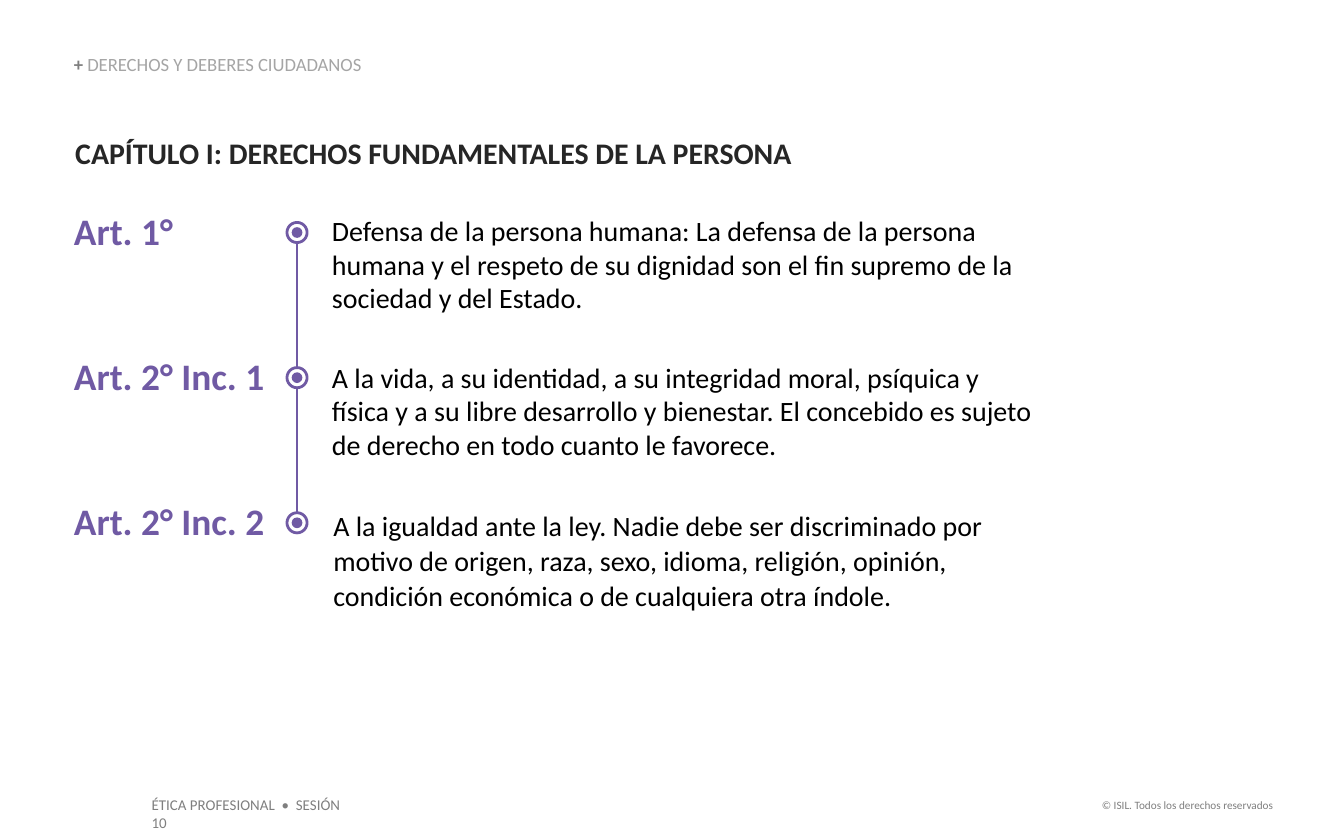
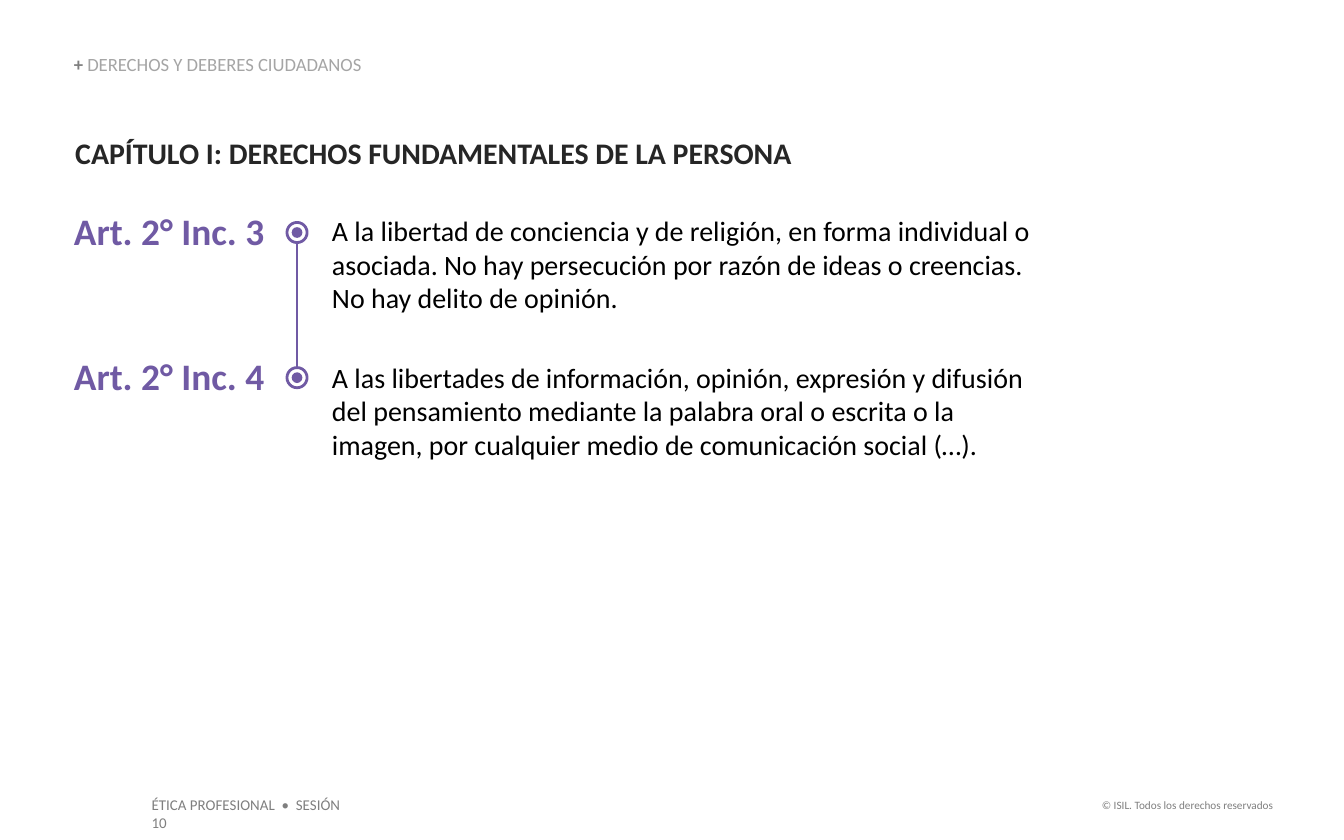
from dataclasses import dataclass

from lxml import etree
from pptx import Presentation
from pptx import util as u
from pptx.dml.color import RGBColor
from pptx.enum import shapes, text
from pptx.oxml import ns


@dataclass(frozen=True)
class Theme:
    font: str = "Calibri"
    accent: str = "705AA4"
    heading: str = "262626"
    body: str = "000000"
    muted: str = "7F7F7F"
    faint: str = "A5A5A5"
    paper: str = "FFFFFF"
    heading_size: float = 16
    label_size: float = 20
    body_size: float = 15
    section_size: float = 10
    footer_size: float = 8
    copyright_size: float = 6


@dataclass(frozen=True)
class Box:
    left: float
    top: float
    width: float
    height: float


@dataclass(frozen=True)
class Style:
    size: float
    color: str
    bold: bool = False


@dataclass(frozen=True)
class Article:
    label: str
    description: str
    width: float
    left: float = 2.47
    line_spacing: float = 1.0


THEME = Theme()
MUTED_BOLD = Style(THEME.section_size, THEME.muted, True)
FAINT = Style(THEME.section_size, THEME.faint)
HEADING = Style(THEME.heading_size, THEME.heading, True)
LABEL = Style(THEME.label_size, THEME.accent, True)
BODY = Style(THEME.body_size, THEME.body)
FOOTER = Style(THEME.footer_size, THEME.muted)
COPYRIGHT = Style(THEME.copyright_size, THEME.muted)

MARGIN = 0.55
LABEL_TOP, LABEL_STEP = 1.55, 1.08
DESCRIPTION_TOP, DESCRIPTION_STEP = 1.59, 1.09
AXIS_X, AXIS_TOP = 2.21, 1.73
RING, DOT = 0.15, 0.08

CHAPTER = "CAPÍTULO I: DERECHOS FUNDAMENTALES DE LA PERSONA"
SECTION = "DERECHOS Y DEBERES CIUDADANOS"
COURSE = "ÉTICA PROFESIONAL  •  SESIÓN 10"
RIGHTS = "© ISIL. Todos los derechos reservados"

SLIDES = [
    [
        Article(
            "Art. 1°",
            "Defensa de la persona humana: La defensa de la persona humana y el "
            "respeto de su dignidad son el fin supremo de la sociedad y del Estado.",
            5.44,
        ),
        Article(
            "Art. 2° Inc. 1",
            "A la vida, a su identidad, a su integridad moral, psíquica y física y a "
            "su libre desarrollo y bienestar. El concebido es sujeto de derecho en "
            "todo cuanto le favorece.",
            5.21,
        ),
        Article(
            "Art. 2° Inc. 2",
            "A la igualdad ante la ley. Nadie debe ser discriminado por motivo de "
            "origen, raza, sexo, idioma, religión, opinión, condición económica o de "
            "cualquiera otra índole.",
            5.19,
            left=2.48,
            line_spacing=1.05,
        ),
    ],
    [
        Article(
            "Art. 2° Inc. 3",
            "A la libertad de conciencia y de religión, en forma individual o "
            "asociada. No hay persecución por razón de ideas o creencias. No hay "
            "delito de opinión.",
            5.39,
        ),
        Article(
            "Art. 2° Inc. 4",
            "A las libertades de información, opinión, expresión y difusión del "
            "pensamiento mediante la palabra oral o escrita o la imagen, por "
            "cualquier medio de comunicación social (…).",
            5.21,
        ),
    ],
]


def place(shape, box: Box) -> None:
    shape.left, shape.top = u.Inches(box.left), u.Inches(box.top)
    shape.width, shape.height = u.Inches(box.width), u.Inches(box.height)


def format_run(run, style: Style) -> None:
    run.font.name = THEME.font
    run.font.size = u.Pt(style.size)
    run.font.bold = style.bold
    run.font.color.rgb = RGBColor.from_string(style.color)


def write(shape, content: str, style: Style, inset: bool = False):
    """Fill a text shape with one paragraph and return that paragraph."""
    frame = shape.text_frame
    frame.text = content
    frame.word_wrap = True
    frame.auto_size = text.MSO_AUTO_SIZE.SHAPE_TO_FIT_TEXT
    frame.vertical_anchor = text.MSO_ANCHOR.TOP
    frame.margin_left = frame.margin_right = u.Inches(0.1 if inset else 0)
    frame.margin_top = frame.margin_bottom = u.Inches(0.05 if inset else 0)
    paragraph = frame.paragraphs[0]
    paragraph.alignment = text.PP_ALIGN.LEFT
    format_run(paragraph.runs[0], style)
    return paragraph


def add_text(slide, box: Box, content: str, style: Style, inset: bool = False):
    label = slide.shapes.add_textbox(0, 0, 0, 0)
    place(label, box)
    return write(label, content, style, inset)


def add_frame(slide) -> None:
    """Add the footer, chapter title and section line shared by all slides."""
    add_text(slide, Box(1.03, 5.87, 1.74, 0.24), COURSE, FOOTER, inset=True)
    rights = add_text(slide, Box(8.07, 5.89, 1.5, 0.2), RIGHTS, COPYRIGHT, inset=True)
    rights.alignment = text.PP_ALIGN.RIGHT

    title = slide.shapes.title
    place(title, Box(MARGIN, 1, 5.99, 0.27))
    chapter = write(title, CHAPTER, HEADING)
    chapter._p.get_or_add_pPr().set("marL", str(u.Inches(0.01)))

    section = add_text(slide, Box(MARGIN, 0.41, 5.06, 0.15), "+ ", MUTED_BOLD)
    section.line_spacing = 0.9
    section_name = section.add_run()
    section_name.text = SECTION
    format_run(section_name, FAINT)


def add_axis(slide, bottom: float) -> None:
    axis = slide.shapes.add_connector(
        shapes.MSO_CONNECTOR.STRAIGHT,
        u.Inches(AXIS_X), u.Inches(AXIS_TOP), u.Inches(AXIS_X), u.Inches(bottom),
    )
    axis.line.color.rgb = RGBColor.from_string(THEME.accent)
    axis.line.width = u.Pt(0.75)
    etree.SubElement(axis._element.spPr, ns.qn("a:effectLst"))


def add_marker(slide, center_y: float) -> None:
    """Add a ring with a dot in its centre on the axis."""
    marker = slide.shapes.add_group_shape()
    for diameter, fill in ((RING, THEME.paper), (DOT, THEME.accent)):
        disc = marker.shapes.add_shape(shapes.MSO_SHAPE.OVAL, 0, 0, 0, 0)
        place(disc, Box(AXIS_X - diameter / 2, center_y - diameter / 2, diameter, diameter))
        disc.shadow.inherit = False
        disc.fill.solid()
        disc.fill.fore_color.rgb = RGBColor.from_string(fill)
        if diameter == RING:
            disc.line.color.rgb = RGBColor.from_string(THEME.accent)
            disc.line.width = u.Pt(1.5)
        else:
            disc.line.fill.background()


def add_articles(slide, articles: list[Article]) -> None:
    add_axis(slide, AXIS_TOP + LABEL_STEP * (len(articles) - 1))
    for row, article in enumerate(articles):
        label_top = LABEL_TOP + row * LABEL_STEP
        description_top = DESCRIPTION_TOP + row * DESCRIPTION_STEP
        add_text(slide, Box(MARGIN, label_top, 1.55, 0.34), article.label, LABEL)
        description = add_text(
            slide, Box(article.left, description_top, article.width, 0.76),
            article.description, BODY,
        )
        description.line_spacing = article.line_spacing
        add_marker(slide, AXIS_TOP + row * LABEL_STEP)


def main() -> None:
    deck = Presentation()
    deck.slide_width, deck.slide_height = u.Inches(10), u.Inches(6.25)
    title_only = deck.slide_layouts[5]
    for articles in SLIDES:
        slide = deck.slides.add_slide(title_only)
        add_frame(slide)
        add_articles(slide, articles)
    deck.save("out.pptx")


if __name__ == "__main__":
    main()
